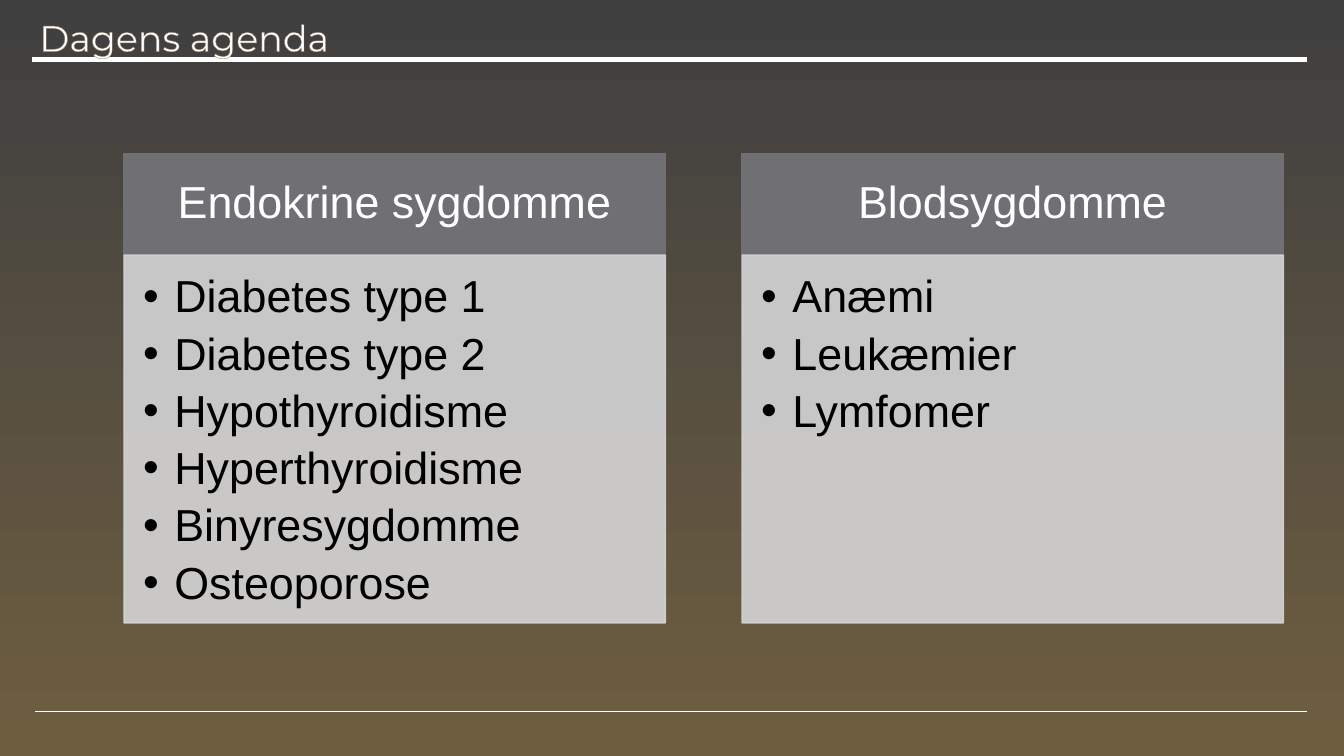
from lxml.etree import SubElement
from pptx import Presentation
from pptx.dml.color import RGBColor
from pptx.enum.shapes import MSO_CONNECTOR, MSO_SHAPE
from pptx.enum.text import MSO_ANCHOR, PP_ALIGN
from pptx.oxml import parse_xml
from pptx.oxml.ns import nsdecls, qn
from pptx.util import Inches, Pt


def color(hex_value):
    return RGBColor.from_string(hex_value)


def assign(obj, values):
    for name, value in values.items():
        setattr(obj, name, value)


prs = Presentation()
prs.slide_width, prs.slide_height = Inches(13.33), Inches(7.5)
s = prs.slides.add_slide(prs.slide_layouts[6])

fill = s.background.fill
fill.gradient()
fill.gradient_angle = 270
for stop, position, shade in zip(fill.gradient_stops, (0.02, 1), ("404040", "6E5E40")):
    stop.position = position
    stop.color.rgb = color(shade)

rules = [(0.32, 0.59, 3.5), (0.35, 7.06, 1)]
for left, y, weight in rules:
    line = s.shapes.add_connector(
        MSO_CONNECTOR.STRAIGHT, Inches(left), Inches(y), Inches(12.96), Inches(y))
    line.line.color.rgb = color("FFFFFF")
    line.line.width = Pt(weight)
    SubElement(line._element.spPr, qn("a:effectLst"))

title = s.shapes.add_textbox(Inches(0.39), Inches(0.2), Inches(6.41), Inches(0.39))
tf = title.text_frame
assign(tf, dict(word_wrap=True, vertical_anchor=MSO_ANCHOR.BOTTOM, margin_left=0,
                margin_top=0, margin_right=0, margin_bottom=0))
p = tf.paragraphs[0]
p.line_spacing = 0.9
r = p.add_run()
r.text = "Dagens agenda"
assign(r.font, dict(name="Montserrat", size=Pt(26)))
r.font.color.rgb = color("FFFFFF")
r._r.get_or_add_rPr().insert(0, parse_xml(
    f'<a:ln {nsdecls("a")} w="9525"><a:solidFill><a:srgbClr val="9C8265"/></a:solidFill></a:ln>'))

agenda = {
    "Endokrine sygdomme": ["Diabetes type 1", "Diabetes type 2", "Hypothyroidisme",
                           "Hyperthyroidisme", "Binyresygdomme", "Osteoporose"],
    "Blodsygdomme": ["Anæmi", "Leukæmier", "Lymfomer"],
}
header = dict(
    top=1.52, height=1.01, fill="6F6F74", text="FFFFFF", alpha=None,
    frame=dict(vertical_anchor=MSO_ANCHOR.MIDDLE, margin_left=Inches(0.25),
               margin_top=Inches(0.14), margin_right=Inches(0.25), margin_bottom=Inches(0.14)),
    paragraph=dict(alignment=PP_ALIGN.CENTER, line_spacing=0.9))
body = dict(
    top=2.53, height=3.65, fill="D5D5D6", text="000000", alpha="90000",
    frame=dict(vertical_anchor=MSO_ANCHOR.TOP, margin_left=Inches(0.19),
               margin_top=Inches(0.19), margin_right=Inches(0.25), margin_bottom=Inches(0.28)),
    paragraph=dict(alignment=PP_ALIGN.LEFT, line_spacing=0.9, space_after=Pt(6.3), level=1))

for column, (heading, topics) in enumerate(agenda.items()):
    for style, texts in ((header, [heading]), (body, topics)):
        sp = s.shapes.add_shape(
            MSO_SHAPE.RECTANGLE, Inches(1.23 + column * 6.13), Inches(style["top"]),
            Inches(5.37), Inches(style["height"]))
        sp.shadow.inherit = False
        sp.fill.solid()
        sp.fill.fore_color.rgb = color(style["fill"])
        sp.line.color.rgb = color(style["fill"])
        sp.line.width = Pt(1)
        if style["alpha"]:
            for clr in sp._element.spPr.iter(qn("a:srgbClr")):
                SubElement(clr, qn("a:alpha"), val=style["alpha"])
        tf = sp.text_frame
        tf.word_wrap = True
        assign(tf, style["frame"])
        for i, text in enumerate(texts):
            p = tf.paragraphs[0] if i == 0 else tf.add_paragraph()
            assign(p, style["paragraph"])
            if style is body:
                pPr = p._p.get_or_add_pPr()
                pPr.set("marL", str(Inches(0.31)))
                pPr.set("indent", str(-Inches(0.31)))
                SubElement(pPr, qn("a:buFont"), typeface="Arial")
                SubElement(pPr, qn("a:buChar"), char="•")
            r = p.add_run()
            r.text = text
            assign(r.font, dict(name="Arial", size=Pt(32)))
            r.font.color.rgb = color(style["text"])

prs.save("out.pptx")
